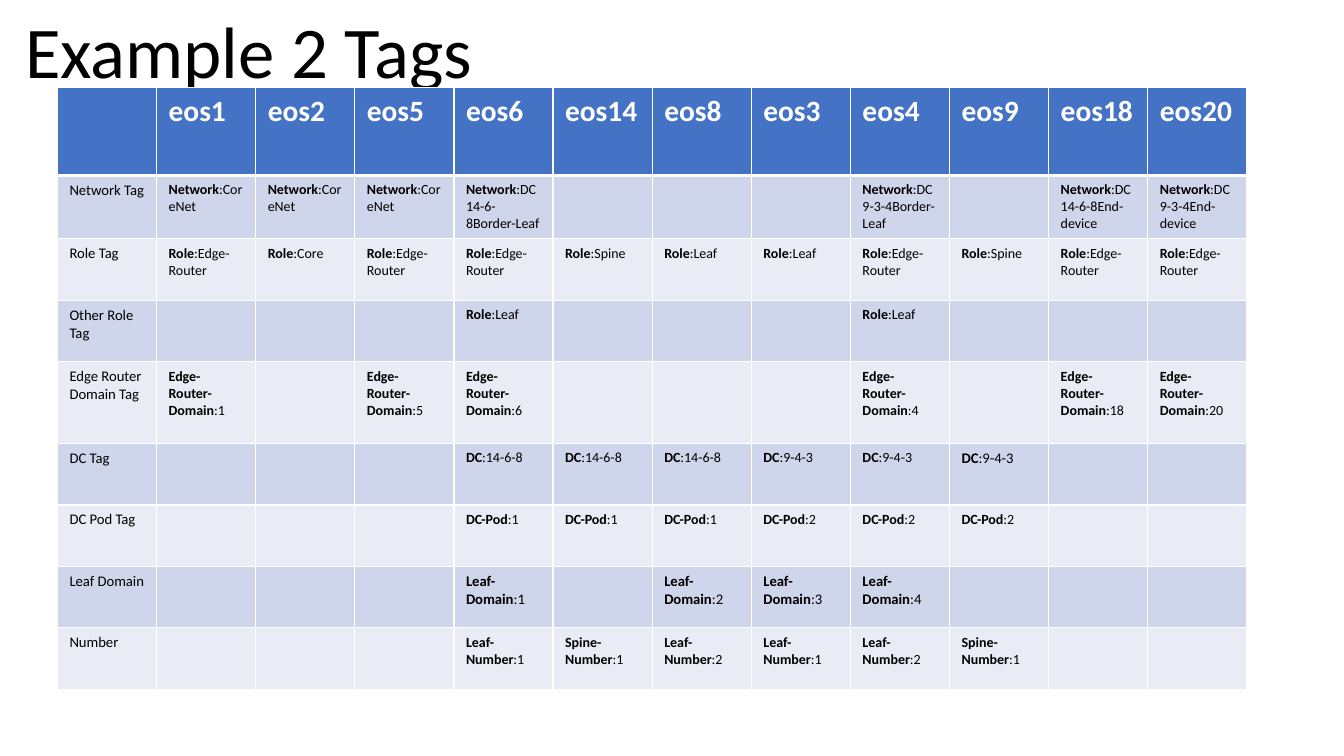
import pptx
import pptx.dml.color
import pptx.enum.text
import pptx.oxml
import pptx.oxml.ns
import pptx.util

TITLE = "Example 2 Tags"
DEVICES = ["eos1", "eos2", "eos5", "eos6", "eos14", "eos8",
           "eos3", "eos4", "eos9", "eos18", "eos20"]
# Row label, row height in inches, then each device's tag as "key:value"
TAG_ROWS = [
    ("Network Tag", 0.63, {
        "eos1": "Network:CoreNet", "eos2": "Network:CoreNet", "eos5": "Network:CoreNet",
        "eos6": "Network:DC14-6-8Border-Leaf", "eos4": "Network:DC9-3-4Border-Leaf",
        "eos18": "Network:DC14-6-8End-device", "eos20": "Network:DC9-3-4End-device"}),
    ("Role Tag", 0.61, {
        "eos1": "Role:Edge-Router", "eos2": "Role:Core", "eos5": "Role:Edge-Router",
        "eos6": "Role:Edge-Router", "eos14": "Role:Spine", "eos8": "Role:Leaf",
        "eos3": "Role:Leaf", "eos4": "Role:Edge-Router", "eos9": "Role:Spine",
        "eos18": "Role:Edge-Router", "eos20": "Role:Edge-Router"}),
    ("Other Role Tag", 0.61, {"eos6": "Role:Leaf", "eos4": "Role:Leaf"}),
    ("Edge Router Domain Tag", 0.81, {
        "eos1": "Edge-Router-Domain:1", "eos5": "Edge-Router-Domain:5",
        "eos6": "Edge-Router-Domain:6", "eos4": "Edge-Router-Domain:4",
        "eos18": "Edge-Router-Domain:18", "eos20": "Edge-Router-Domain:20"}),
    ("DC Tag", 0.61, {
        "eos6": "DC:14-6-8", "eos14": "DC:14-6-8", "eos8": "DC:14-6-8",
        "eos3": "DC:9-4-3", "eos4": "DC:9-4-3", "eos9": "DC:9-4-3"}),
    ("DC Pod Tag", 0.61, {
        "eos6": "DC-Pod:1", "eos14": "DC-Pod:1", "eos8": "DC-Pod:1",
        "eos3": "DC-Pod:2", "eos4": "DC-Pod:2", "eos9": "DC-Pod:2"}),
    ("Leaf Domain", 0.61, {
        "eos6": "Leaf-Domain:1", "eos8": "Leaf-Domain:2",
        "eos3": "Leaf-Domain:3", "eos4": "Leaf-Domain:4"}),
    ("Number", 0.61, {
        "eos6": "Leaf-Number:1", "eos14": "Spine-Number:1", "eos8": "Leaf-Number:2",
        "eos3": "Leaf-Number:1", "eos4": "Leaf-Number:2", "eos9": "Spine-Number:1"}),
]
COLORS = {"header": "4472C4", "odd": "CFD5EA", "even": "E9EBF5",
          "rule": "FFFFFF", "header_text": "FFFFFF", "text": "000000"}
FONT = "Calibri"
HEADER_HEIGHT = 0.87
LABEL_SIZE, TAG_SIZE = 10.5, 10
LARGER_TAGS = {("DC Tag", "eos9")} | {("Leaf Domain", device) for device in DEVICES}

inches = pptx.util.Inches


def rgb(name):
    return pptx.dml.color.RGBColor.from_string(COLORS[name])


def write(frame, text, size, color="text", bold=False, bold_key=False, spacing=None):
    """Fill the frame's first paragraph; bold_key sets the part before the colon bold."""
    paragraph = frame.paragraphs[0]
    if spacing:
        paragraph.line_spacing = spacing
    key, colon, value = text.partition(":")
    pieces = [(key, True), (colon + value, False)] if bold_key else [(text, bold)]
    for piece, is_bold in pieces:
        run = paragraph.add_run()
        run.text = piece
        run.font.name = FONT
        run.font.size = pptx.util.Pt(size)
        run.font.bold = is_bold
        run.font.color.rgb = rgb(color)


def style_cell(cell, fill, top=1, bottom=1):
    """Set fill, margins and borders, the border widths in points."""
    cell.margin_left = cell.margin_right = inches(0.12)
    cell.margin_top = cell.margin_bottom = inches(0.06)
    cell.fill.solid()
    cell.fill.fore_color.rgb = rgb(fill)
    properties = cell._tc.get_or_add_tcPr()
    for place, (side, width) in enumerate([("L", 1), ("R", 1), ("T", top), ("B", bottom)]):
        properties.insert(place, pptx.oxml.parse_xml(
            f'<a:ln{side} {pptx.oxml.ns.nsdecls("a")} w="{pptx.util.Pt(width)}">'
            f'<a:solidFill><a:srgbClr val="{COLORS["rule"]}"/></a:solidFill></a:ln{side}>'))


deck = pptx.Presentation()
deck.slide_width, deck.slide_height = inches(13.33), inches(7.5)
slide = deck.slides.add_slide(deck.slide_layouts[6])

title = slide.shapes.add_textbox(inches(0.15), inches(-0.08), inches(11.5), inches(1.24)).text_frame
title.word_wrap = True
title.vertical_anchor = pptx.enum.text.MSO_ANCHOR.MIDDLE
write(title, TITLE, 52, spacing=0.9)

heights = [HEADER_HEIGHT] + [height for _, height, _ in TAG_ROWS]
tags = slide.shapes.add_table(len(heights), len(DEVICES) + 1, inches(0.57), inches(0.87),
                              inches(11.8), inches(sum(heights))).table
for row, height in zip(tags.rows, heights):
    row.height = inches(height)

for column in range(len(DEVICES) + 1):
    header = tags.cell(0, column)
    style_cell(header, "header", bottom=3)
    if column:
        write(header.text_frame, DEVICES[column - 1], 21, color="header_text", bold=True)

for r, (label, _, values) in enumerate(TAG_ROWS, start=1):
    for column in range(len(DEVICES) + 1):
        cell = tags.cell(r, column)
        style_cell(cell, "odd" if r % 2 else "even", top=3 if r == 1 else 1)
        if column == 0:
            write(cell.text_frame, label, LABEL_SIZE)
            continue
        device = DEVICES[column - 1]
        if device in values:
            size = LABEL_SIZE if (label, device) in LARGER_TAGS else TAG_SIZE
            write(cell.text_frame, values[device], size, bold_key=True)

deck.save("out.pptx")
